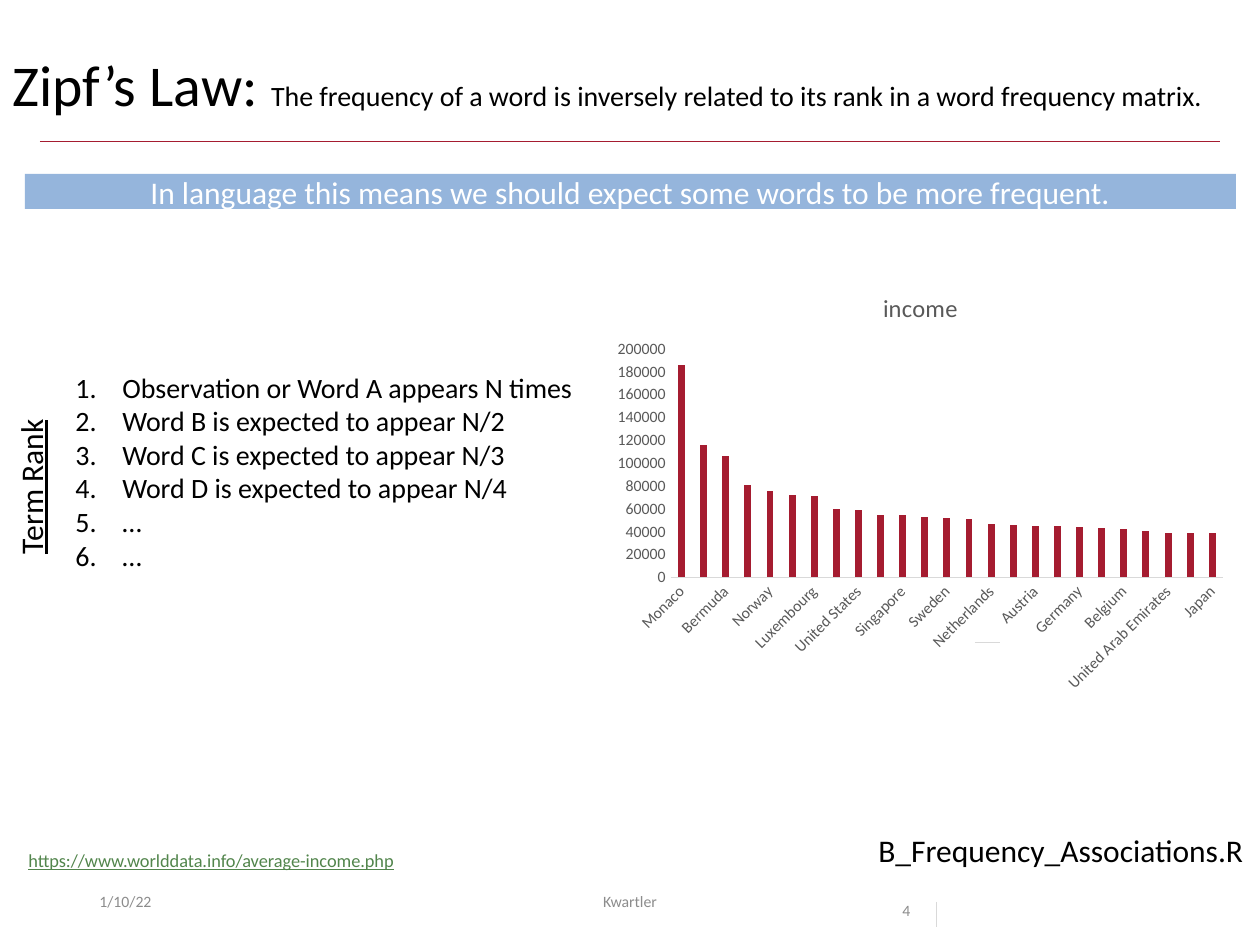
from dataclasses import dataclass

from lxml import etree
from pptx import Presentation
from pptx.chart.data import CategoryChartData
from pptx.dml.color import RGBColor
from pptx.enum.chart import XL_CHART_TYPE, XL_TICK_MARK
from pptx.enum.shapes import MSO_CONNECTOR, MSO_SHAPE
from pptx.enum.text import MSO_ANCHOR, PP_ALIGN
from pptx.oxml.ns import qn
from pptx.util import Emu, Pt

COLUMNS = XL_CHART_TYPE.COLUMN_CLUSTERED
NO_TICK = XL_TICK_MARK.NONE
STRAIGHT = MSO_CONNECTOR.STRAIGHT
RECTANGLE = MSO_SHAPE.RECTANGLE
TOP, MIDDLE = MSO_ANCHOR.TOP, MSO_ANCHOR.MIDDLE
LEFT, CENTER = PP_ALIGN.LEFT, PP_ALIGN.CENTER

FONT = "Calibri"
BLACK, WHITE, CRIMSON = "000000", "FFFFFF", "A51C30"
BAND_BLUE, LINK_GREEN = "95B5DC", "52854C"
FOOTER_GRAY, CHART_GRAY, PALE_GRAY = "8C8C8C", "595959", "D9D9D9"
EMU_PER_PX = 914400 / 126


@dataclass
class Area:
    left: int
    top: int
    width: int
    height: int


@dataclass
class Rule:
    start: tuple[int, int]
    end: tuple[int, int]
    color: str


@dataclass
class Label:
    text: str
    area: Area
    style: dict


RULES = [
    Rule((40, 141), (1220, 141), CRIMSON),
    Rule((936, 902), (936, 927), PALE_GRAY),
    Rule((975, 642), (1000, 642), PALE_GRAY),
]
FOOTER = {"size": 9, "color": FOOTER_GRAY}
LABELS = [
    Label("1/10/22", Area(87, 876, 284, 50), {**FOOTER, "anchor": MIDDLE}),
    Label("4", Area(890, 876, 118, 50), {**FOOTER, "spacing": 2}),
    Label("Kwartler", Area(417, 876, 426, 50),
          {**FOOTER, "anchor": MIDDLE, "align": CENTER}),
    Label("Term Rank", Area(-50, 461, 161, 50),
          {"size": 18, "underline": True, "wrap": False, "rotation": 270}),
    Label("https://www.worlddata.info/average-income.php", Area(16, 843, 401, 35),
          {"size": 10.5, "color": LINK_GREEN, "underline": True, "wrap": False}),
    Label("B_Frequency_Associations.R", Area(866, 825, 394, 50),
          {"size": 18, "wrap": False}),
]
RANKS = [
    "Observation or Word A appears N times",
    "Word B is expected to appear N/2",
    "Word C is expected to appear N/3",
    "Word D is expected to appear N/4",
    "…",
    "…",
]
INCOMES = {
    "Monaco": 186000, "Liechtenstein": 116000, "Bermuda": 106000,
    "Switzerland": 81000, "Norway": 76000, "Macao": 72000,
    "Luxembourg": 71000, "Iceland": 60000, "United States": 59000,
    "Denmark": 55000, "Singapore": 55000, "Ireland": 53000,
    "Sweden": 52000, "Australia": 51000, "Netherlands": 47000,
    "Hong Kong": 46000, "Austria": 45000, "Finland": 45000,
    "Germany": 44000, "Canada": 43000, "Belgium": 42000,
    "United Kingdom": 41000, "United Arab Emirates": 39000,
    "New Zealand": 39000, "Japan": 39000,
}


def px(length: int) -> Emu:
    return Emu(round(length * EMU_PER_PX))


def place(area: Area) -> tuple[Emu, ...]:
    return px(area.left), px(area.top), px(area.width), px(area.height)


def rgb(color: str) -> RGBColor:
    return RGBColor.from_string(color)


def set_font(font, size: float, color: str, underline: bool = False) -> None:
    font.name = FONT
    font.size = Pt(size)
    font.bold = False
    font.underline = underline
    font.color.rgb = rgb(color)


def number_paragraph(para) -> None:
    properties = para._p.get_or_add_pPr()
    properties.set("marL", str(px(47)))
    properties.set("indent", str(-px(47)))
    etree.SubElement(properties, qn("a:buFont"), typeface="+mj-lt")
    etree.SubElement(properties, qn("a:buAutoNum"), type="arabicPeriod")


def write_text(box, paragraphs, *, size: float = 16, color: str = BLACK,
               underline: bool = False, align=LEFT, anchor=TOP, wrap: bool = True,
               spacing: float = 1, numbered: bool = False, rotation: int = 0) -> None:
    """Fill a shape; each paragraph is a list of (text, size or None) spans."""
    box.rotation = rotation
    frame = box.text_frame
    frame.word_wrap = wrap
    frame.vertical_anchor = anchor
    for index, spans in enumerate(paragraphs):
        para = frame.add_paragraph() if index else frame.paragraphs[0]
        para.alignment = align
        para.line_spacing = spacing
        if numbered:
            number_paragraph(para)
        for text, span_size in spans:
            span = para.add_run()
            span.text = text
            set_font(span.font, span_size or size, color, underline)


def add_text(page, area: Area, paragraphs, **style) -> None:
    write_text(page.shapes.add_textbox(*place(area)), paragraphs, **style)


def add_rule(page, rule: Rule) -> None:
    points = [px(value) for value in (*rule.start, *rule.end)]
    line = page.shapes.add_connector(STRAIGHT, *points)
    line.line.color.rgb = rgb(rule.color)
    line.line.width = Pt(0.5)
    etree.SubElement(line._element.spPr, qn("a:effectLst"))


def add_band(page, area: Area, text: str) -> None:
    band = page.shapes.add_shape(RECTANGLE, *place(area))
    band.shadow.inherit = False
    band.fill.solid()
    band.fill.fore_color.rgb = rgb(BAND_BLUE)
    band.line.fill.background()
    write_text(band, [[(text, None)]], size=18, color=WHITE,
               align=CENTER, anchor=MIDDLE)


def add_income_chart(page, area: Area) -> None:
    data = CategoryChartData(number_format="General")
    data.categories = list(INCOMES)
    data.add_series("income", list(INCOMES.values()))
    chart = page.shapes.add_chart(COLUMNS, *place(area), data).chart
    set_font(chart.font, 10, BLACK)
    chart.has_legend = False

    # Title
    chart.has_title = True
    chart.chart_title.include_in_layout = False
    title = chart.chart_title.text_frame.paragraphs[0].add_run()
    title.text = "income"
    set_font(title.font, 14, CHART_GRAY)

    # Axes
    for axis in (chart.category_axis, chart.value_axis):
        axis.has_major_gridlines = False
        axis.major_tick_mark = axis.minor_tick_mark = NO_TICK
        set_font(axis.tick_labels.font, 9, CHART_GRAY)
    categories, values = chart.category_axis, chart.value_axis
    categories.format.line.color.rgb = rgb(PALE_GRAY)
    categories.format.line.width = Pt(0.75)
    label_body = categories._element.find(qn("c:txPr")).find(qn("a:bodyPr"))
    label_body.set("rot", "-2700000")
    label_body.set("vert", "horz")
    values.format.line.fill.background()
    values.minimum_scale, values.maximum_scale = 0, 200000
    values.major_unit = 20000

    # Columns
    plot = chart.plots[0]
    plot.vary_by_categories = False
    plot.gap_width, plot.overlap = 219, -27
    columns = plot.series[0].format.fill
    columns.solid()
    columns.fore_color.rgb = rgb(CRIMSON)


def main() -> None:
    deck = Presentation()
    deck.slide_width, deck.slide_height = px(1260), px(945)
    page = deck.slides.add_slide(deck.slide_layouts[6])

    # Heading and key message
    add_text(page, Area(0, 50, 1260, 82), [[
        ("Zipf’s Law: ", 33),
        ("The frequency of a word is inversely related to its rank "
         "in a word frequency matrix.", 16),
    ]], spacing=0.9)
    add_band(page, Area(25, 174, 1211, 35),
             "In language this means we should expect some words to be more frequent.")

    # Ranked terms and income example
    add_text(page, Area(63, 364, 551, 217),
             [[(rank, None)] for rank in RANKS], numbered=True)
    add_income_chart(page, Area(605, 271, 631, 430))

    # Rules, side label, source and footer
    for rule in RULES:
        add_rule(page, rule)
    for label in LABELS:
        add_text(page, label.area, [[(label.text, None)]], **label.style)

    deck.save("out.pptx")


if __name__ == "__main__":
    main()
